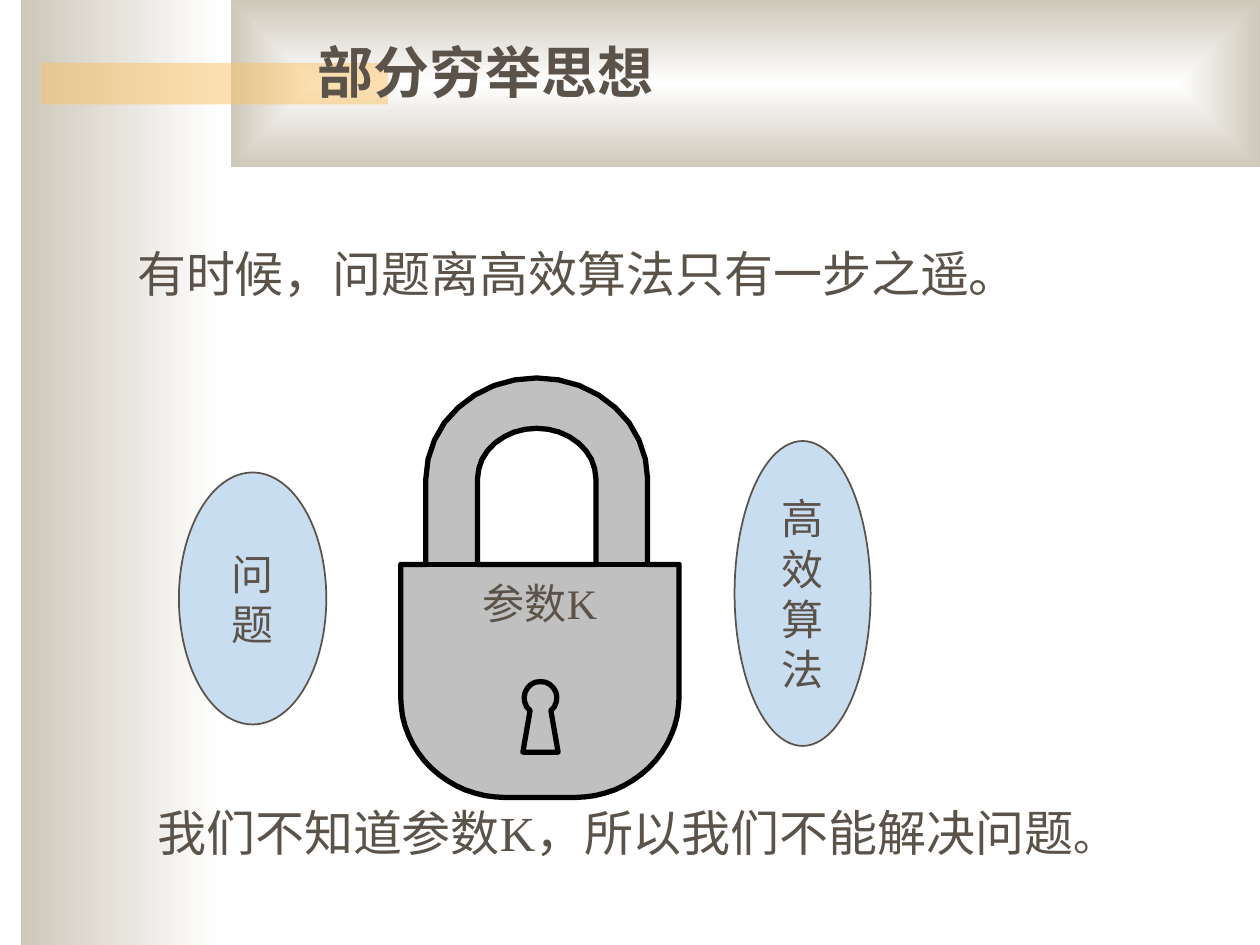
from itertools import takewhile
from math import cos, radians, sin

from lxml import etree
from pptx import Presentation
from pptx.dml import color
from pptx.enum import shapes, text
from pptx.oxml import ns
from pptx.util import Inches, Pt

INK = "5B5249"
SAND = "CEC8BA"
SKY = "C9DDF1"
SILVER = "C0C0C0"
FONT = "Times New Roman"
UNITS_PER_INCH = 400


def rgb(value):
    return color.RGBColor.from_string(value)


def place(box, left, top, width, height):
    box.left, box.top = Inches(left), Inches(top)
    box.width, box.height = Inches(width), Inches(height)


def add_span(para, content, size, bold=False):
    span = para.add_run()
    span.text = content
    span.font.name = FONT
    span.font.size = Pt(size)
    span.font.bold = bold
    span.font.color.rgb = rgb(INK)


def write(box, lines, size, bold=False, align=text.PP_ALIGN.LEFT,
          anchor=text.MSO_ANCHOR.TOP, wrap=True, grow=False, top=0.05):
    frame = box.text_frame
    frame.word_wrap = wrap
    frame.auto_size = (text.MSO_AUTO_SIZE.SHAPE_TO_FIT_TEXT if grow
                       else text.MSO_AUTO_SIZE.NONE)
    frame.vertical_anchor = anchor
    frame.margin_left = frame.margin_right = Inches(0.1)
    frame.margin_top, frame.margin_bottom = Inches(top), Inches(0.05)
    for index, line in enumerate(lines):
        para = frame.paragraphs[0] if index == 0 else frame.add_paragraph()
        para.alignment = align
        add_span(para, line, size, bold)


def paint(shape, fill, line=None, width=1):
    shape.shadow.inherit = False
    shape.fill.solid()
    shape.fill.fore_color.rgb = rgb(fill)
    if line:
        shape.line.color.rgb = rgb(line)
        shape.line.width = Pt(width)
    else:
        shape.line.fill.background()


def add_shape(page, kind, left, top, width, height, fill, line=None):
    shape = page.shapes.add_shape(
        kind, Inches(left), Inches(top), Inches(width), Inches(height))
    paint(shape, fill, line)
    return shape


def shade(shape, centred=False):
    shape.fill.gradient()
    shape.fill.gradient_angle = 180
    for position, (stop, tone) in enumerate(
            zip(shape.fill.gradient_stops, ("FFFFFF", SAND))):
        stop.position = position
        stop.color.rgb = rgb(tone)
    if centred:
        linear = shape._element.spPr.find(".//" + ns.qn("a:lin"))
        route = etree.Element(ns.qn("a:path"), {"path": "rect"})
        sides = dict.fromkeys("ltrb", "50000")
        etree.SubElement(route, ns.qn("a:fillToRect"), sides)
        linear.getparent().replace(linear, route)


def add_backdrop(page):
    rectangle = shapes.MSO_SHAPE.RECTANGLE
    shade(add_shape(page, rectangle, 0.17, 0, 1.58, 7.5, SAND))
    shade(add_shape(page, rectangle, 1.83, 0, 8.17, 1.33, SAND), centred=True)
    bar = add_shape(page, rectangle, 0.33, 0.5, 2.75, 0.33, "FAC164")
    tone = bar._element.spPr.find(".//" + ns.qn("a:srgbClr"))
    etree.SubElement(tone, ns.qn("a:alpha"), val="50000")


def add_title(page, content):
    title = page.shapes.title
    title._element.getparent().append(title._element)
    place(title, 2.42, 0.25, 6, 0.64)
    write(title, [content], 32, bold=True, grow=True)


def add_sentence(page, content, left, top, width):
    box = page.shapes.add_textbox(
        Inches(left), Inches(top), Inches(width), Inches(0.57))
    write(box, [content], 28, wrap=False, grow=True)
    return box


def add_oval(page, word, left, top, width, height):
    oval = add_shape(page, shapes.MSO_SHAPE.OVAL, left, top, width, height,
                     SKY, INK)
    write(oval, word, 24, align=text.PP_ALIGN.CENTER,
          anchor=text.MSO_ANCHOR.MIDDLE, wrap=False)


def arc(centre_x, centre_y, radius_x, radius_y, start, end, steps=16):
    angles = [radians(start + (end - start) * step / steps)
              for step in range(steps + 1)]
    return [(centre_x + radius_x * cos(angle), centre_y + radius_y * sin(angle))
            for angle in angles]


def arch(centre, spring, radius_x, radius_y, base):
    return [(centre - radius_x, base),
            *arc(centre, spring, radius_x, radius_y, 180, 360),
            (centre + radius_x, base)]


def lock_contours():
    left, right, body_top, body_bottom = 3.18, 5.39, 4.48, 6.33
    corner_x, corner_y = 0.83, 0.8
    corner_centre = body_bottom - corner_y
    shackle, spring = 4.26, 3.8
    outline = [
        (left, body_top),
        *arch(shackle, spring, 0.88, 0.8, body_top),
        (right, body_top),
        *arc(right - corner_x, corner_centre, corner_x, corner_y, 0, 90),
        *arc(left + corner_x, corner_centre, corner_x, corner_y, 90, 180),
    ]
    gap = arch(shackle, spring, 0.47, 0.4, body_top)
    edge = [(left, body_top), (right, body_top)]
    hole, hole_radius, skirt, skirt_bottom = 4.29, 0.13, 0.14, 5.97
    keyhole = [
        (hole - skirt, skirt_bottom),
        *arc(hole, 5.54, hole_radius, hole_radius, 130, 410),
        (hole + skirt, skirt_bottom),
    ]
    return [outline, gap, edge, keyhole]


def to_units(points):
    return [(round(x * UNITS_PER_INCH), round(y * UNITS_PER_INCH))
            for x, y in points]


def separate_contours(shape, first):
    move = ns.qn("a:moveTo")
    outline = shape._element.spPr.find(".//" + ns.qn("a:path"))
    for start in outline.findall(move)[first:]:
        following = takewhile(lambda command: command.tag != move,
                              start.itersiblings())
        commands = [start, *following]
        layer = etree.SubElement(outline.getparent(), outline.tag,
                                 dict(outline.attrib))
        layer.extend(commands)


def add_lock(page, label):
    contours = [to_units(points) for points in lock_contours()]
    builder = page.shapes.build_freeform(
        *contours[0][0], scale=Inches(1) / UNITS_PER_INCH)
    for start, *others in contours:
        if start != contours[0][0] or others != contours[0][1:]:
            builder.move_to(*start)
        builder.add_line_segments(others, close=True)
    lock = builder.convert_to_shape()
    separate_contours(lock, first=2)
    paint(lock, SILVER, "000000", width=3)
    write(lock, [label], 24, align=text.PP_ALIGN.CENTER, top=1.58)


def main():
    deck = Presentation()
    deck.slide_width, deck.slide_height = Inches(10), Inches(7.5)
    page = deck.slides.add_slide(deck.slide_layouts[5])
    add_backdrop(page)
    add_title(page, "部分穷举思想")
    add_sentence(page, "有时候，问题离高效算法只有一步之遥。", 0.99, 1.88, 7.19)
    add_oval(page, "问题", 1.42, 3.75, 1.17, 2)
    add_oval(page, "高效算法", 5.83, 3.5, 1.08, 2.42)
    add_lock(page, "参数K")
    ending = add_sentence(
        page, "我们不知道参数K，所以我们不能解决问题", 1.15, 6.32, 7.99)
    add_span(ending.text_frame.paragraphs[0], "。", 24)
    deck.save("out.pptx")


if __name__ == "__main__":
    main()
